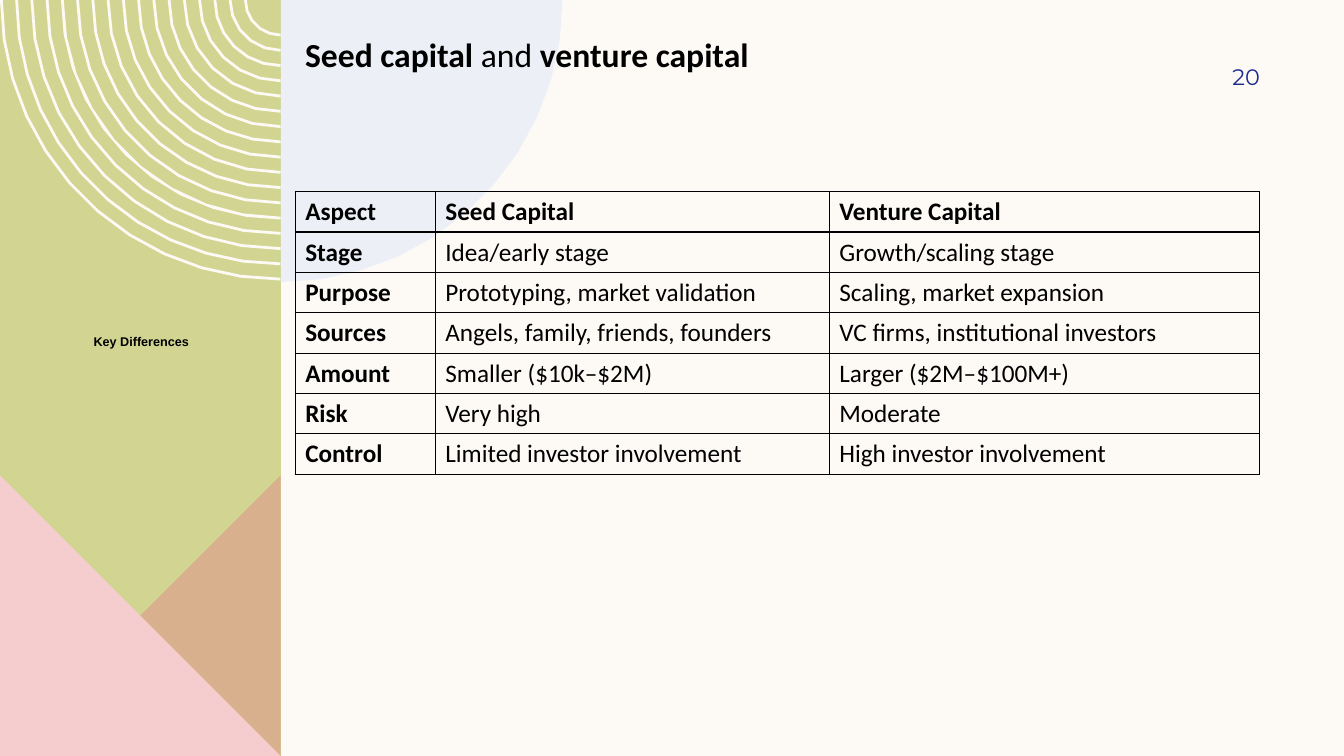
from math import cos, pi, sin

from lxml.etree import SubElement
from pptx import Presentation
from pptx.dml.color import RGBColor
from pptx.enum.text import MSO_ANCHOR, PP_ALIGN
from pptx.oxml.ns import qn
from pptx.util import Cm, Pt

CREAM = RGBColor(0xFD, 0xFA, 0xF6)
GREEN = RGBColor(0xD2, 0xD5, 0x92)
ROSE = RGBColor(0xDE, 0x8C, 0x8C)
PINK = RGBColor(0xF5, 0xCD, 0xCE)
PALE_BLUE = RGBColor(0xDD, 0xE7, 0xF6)
NAVY = RGBColor(0x1F, 0x2C, 0x8F)
BLACK = RGBColor(0, 0, 0)

RING_COUNT = 17
RING_WIDTH = 0.07
INNER_RADIUS = 0.92

COLUMN_WIDTHS = (3.53, 9.93, 10.85)
ROWS = (
    ("Aspect", "Seed Capital", "Venture Capital"),
    ("Stage", "Idea/early stage", "Growth/scaling stage"),
    ("Purpose", "Prototyping, market validation", "Scaling, market expansion"),
    ("Sources", "Angels, family, friends, founders", "VC firms, institutional investors"),
    ("Amount", "Smaller ($10k–$2M)", "Larger ($2M–$100M+)"),
    ("Risk", "Very high", "Moderate"),
    ("Control", "Limited investor involvement", "High investor involvement"),
)


def quarter_arc(centre_x, radius, side):
    """Points from the top edge down to below the centre; side is -1 for left, 1 for right."""
    steps = 4 + round(radius)
    angles = [step * pi / 2 / steps for step in range(steps + 1)]
    return [(centre_x + side * radius * cos(a), radius * sin(a)) for a in angles]


def add_outline(page, contours, colour, opacity=100):
    """Draw closed contours, given in centimetres, as one filled shape."""
    builder = None
    for contour in contours:
        points = [(Cm(x), Cm(y)) for x, y in contour]
        if builder is None:
            builder = page.shapes.build_freeform(*points[0])
        else:
            builder.move_to(*points[0])
        builder.add_line_segments(points[1:], close=True)
    shape = builder.convert_to_shape()
    shape.shadow.inherit = False
    shape.line.fill.background()
    shape.fill.solid()
    shape.fill.fore_color.rgb = colour
    if opacity < 100:
        colour_node = shape.fill._xPr.find(qn("a:solidFill"))[0]
        SubElement(colour_node, qn("a:alpha"), val=str(opacity * 1000))


def write_spans(para, spans, font, size, colour=BLACK):
    """Add (text, bold) spans to a paragraph."""
    for text, bold in spans:
        span = para.add_run()
        span.text = text
        span.font.color.rgb = colour
        for name, value in {"name": font, "size": Pt(size), "bold": bold}.items():
            setattr(span.font, name, value)


def add_text(page, box, spans, font, size, colour=BLACK, align=PP_ALIGN.LEFT, **frame_format):
    frame = page.shapes.add_textbox(*map(Cm, box)).text_frame
    for name, value in {"word_wrap": True, **frame_format}.items():
        setattr(frame, name, value)
    para = frame.paragraphs[0]
    para.alignment = align
    write_spans(para, spans, font, size, colour)


def add_sidebar(page, left, top, width, height):
    right, bottom = left + width, top + height
    corner_top = bottom - width
    add_outline(page, [[(left, top), (right, top), (right, bottom), (left, bottom)]], GREEN)

    pitch = (width - INNER_RADIUS) / (RING_COUNT - 1)
    rings = []
    for index in range(RING_COUNT):
        radius = width - index * pitch
        outer = quarter_arc(right, radius, -1)
        inner = quarter_arc(right, radius - RING_WIDTH, -1)
        rings.append(outer + inner[::-1])
    add_outline(page, rings, CREAM)

    add_outline(page, [[(right, corner_top), (right, bottom), (left, bottom)]], ROSE, 50)
    add_outline(page, [[(left, corner_top), (right, bottom), (left, bottom)]], PINK)
    add_outline(page, [[(right, top)] + quarter_arc(right, width + 0.04, 1)], PALE_BLUE, 50)


def add_border(cell):
    properties = cell._tc.get_or_add_tcPr()
    for edge in ("a:lnL", "a:lnR", "a:lnT", "a:lnB"):
        line = SubElement(properties, qn(edge), w=str(Pt(1)))
        fill = SubElement(line, qn("a:solidFill"))
        SubElement(fill, qn("a:srgbClr"), val=str(BLACK))


def add_comparison(page, left, top, width, height):
    frame = page.shapes.add_table(
        len(ROWS), len(COLUMN_WIDTHS), Cm(left), Cm(top), Cm(width), Cm(height))
    table = frame.table
    for name in ("first_row", "horz_banding"):
        setattr(table, name, False)
    for column, column_width in zip(table.columns, COLUMN_WIDTHS):
        column.width = Cm(column_width)
    for row_index, texts in enumerate(ROWS):
        for column_index, text in enumerate(texts):
            cell = table.cell(row_index, column_index)
            heading = row_index == 0 or column_index == 0
            add_border(cell)
            cell.fill.background()
            cell.vertical_anchor = MSO_ANCHOR.MIDDLE
            para = cell.text_frame.paragraphs[0]
            para.alignment = PP_ALIGN.LEFT if heading else PP_ALIGN.JUSTIFY
            write_spans(para, [(text, heading)], "Calibri", 18)


def main():
    deck = Presentation()
    deck.slide_width, deck.slide_height = Cm(33.87), Cm(19.05)
    page = deck.slides.add_slide(deck.slide_layouts[6])
    page.background.fill.solid()
    page.background.fill.fore_color.rgb = CREAM

    add_sidebar(page, 0, 0, 7.07, 19.05)
    add_text(page, (28.78, 1.27, 2.97, 1.32), [("20", False)], "Montserrat", 16, NAVY,
             PP_ALIGN.RIGHT, vertical_anchor=MSO_ANCHOR.MIDDLE, margin_right=0)
    add_text(page, (7.44, 0.74, 23.27, 1.27),
             [("Seed capital", True), (" and ", False), ("venture capital", True)],
             "Calibri", 24)
    add_comparison(page, 7.44, 4.83, sum(COLUMN_WIDTHS), 7.11)
    add_text(page, (2.11, 8.33, 4.5, 1.27), [("Key Differences", True)], "Arial", 9,
             margin_top=Cm(0.09))
    deck.save("out.pptx")


if __name__ == "__main__":
    main()
